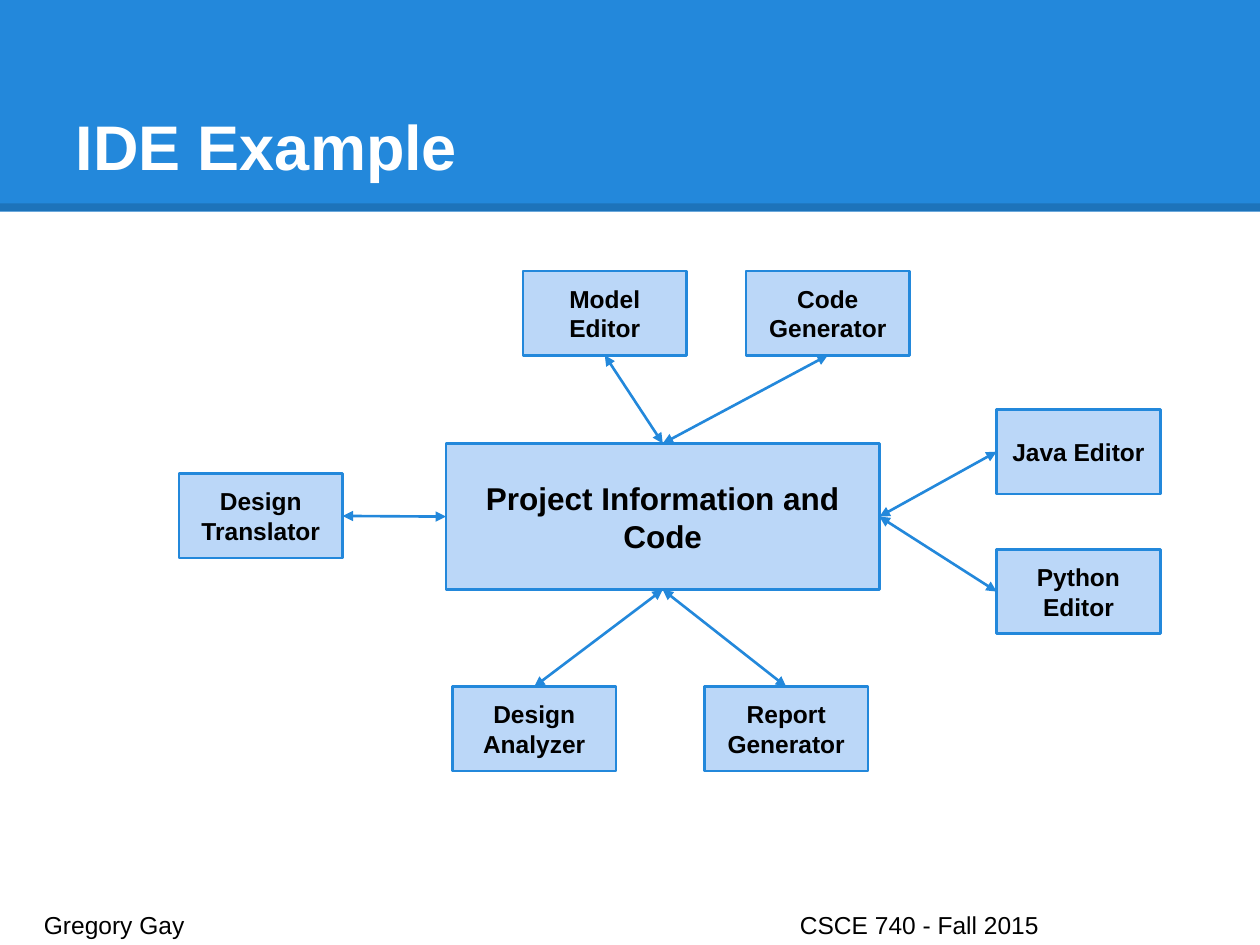
from collections import namedtuple

from lxml.etree import SubElement
from pptx import Presentation
from pptx.dml.color import RGBColor
from pptx.enum.shapes import MSO_CONNECTOR, MSO_SHAPE
from pptx.enum.text import MSO_ANCHOR, MSO_AUTO_SIZE, PP_ALIGN
from pptx.oxml.ns import qn
from pptx.util import Inches, Pt

BLUE = RGBColor(0x23, 0x88, 0xDB)
PALE_BLUE = RGBColor(0xBB, 0xD7, 0xF8)
BLACK = RGBColor(0, 0, 0)
WHITE = RGBColor(0xFF, 0xFF, 0xFF)

SLIDE_WIDTH, SLIDE_HEIGHT = Inches(10), Inches(7.5)
COLUMN, ROW = SLIDE_WIDTH / 100, SLIDE_HEIGHT / 75
TOP, LEFT, BOTTOM, RIGHT = range(4)
OPPOSITE = {TOP: BOTTOM, BOTTOM: TOP, LEFT: RIGHT, RIGHT: LEFT}

Box = namedtuple("Box", "column row columns rows")

HUB = ("Project Information and Code", Box(21.2, 13.7, 34.4, 11.6))
TOOL_COLUMNS, TOOL_ROWS = 13, 6.7
TOOLS = [
    ("Model Editor", 27.3, 0, TOP),
    ("Code Generator", 45, 0, TOP),
    ("Java Editor", 64.9, 11, RIGHT),
    ("Python Editor", 64.9, 22.1, RIGHT),
    ("Report Generator", 41.7, 33, BOTTOM),
    ("Design Analyzer", 21.7, 33, BOTTOM),
    ("Design Translator", 0, 16.1, LEFT),
]


def within(outer, inner):
    """Shift a box by the corner of the box that holds it."""
    return inner._replace(column=outer.column + inner.column, row=outer.row + inner.row)


def to_emu(box):
    """Turn grid columns and rows into slide lengths."""
    return (round(box.column * COLUMN), round(box.row * ROW),
            round(box.columns * COLUMN), round(box.rows * ROW))


def write(frame, text, size=14, color=BLACK, bold=False,
          align=PP_ALIGN.LEFT, anchor=MSO_ANCHOR.TOP):
    """Fill a text frame with one formatted paragraph."""
    frame.word_wrap = True
    frame.auto_size = MSO_AUTO_SIZE.NONE
    frame.vertical_anchor = anchor
    frame.margin_left = frame.margin_right = Inches(0.1)
    frame.margin_top = frame.margin_bottom = Inches(0.1)
    paragraph = frame.paragraphs[0]
    paragraph.alignment = align
    run = paragraph.add_run()
    run.text = text
    run.font.name = "Arial"
    run.font.size = Pt(size)
    run.font.bold = bold
    run.font.color.rgb = color
    return paragraph


def add_block(slide, box, fill):
    """Add a flat rectangle without an outline."""
    block = slide.shapes.add_shape(MSO_SHAPE.RECTANGLE, *to_emu(box))
    block.shadow.inherit = False
    block.fill.solid()
    block.fill.fore_color.rgb = fill
    block.line.fill.background()
    return block


def add_node(slide, box, label, size):
    """Add a labelled, outlined diagram node."""
    node = add_block(slide, box, PALE_BLUE)
    node.line.color.rgb = BLUE
    node.line.width = Pt(1.5)
    write(node.text_frame, label, size=size, bold=True,
          align=PP_ALIGN.CENTER, anchor=MSO_ANCHOR.MIDDLE)
    return node


def add_rule(slide, color, width, ends=(0, 0, 0, 0)):
    """Add a straight connector without a shadow."""
    rule = slide.shapes.add_connector(MSO_CONNECTOR.STRAIGHT, *ends)
    rule.line.color.rgb = color
    rule.line.width = Pt(width)
    SubElement(rule.element.spPr, qn("a:effectLst"))
    return rule


def link(slide, tool, hub, side):
    """Join a tool to one side of the hub with a two-way arrow."""
    arrow = add_rule(slide, BLUE, 1.5)
    arrow.begin_connect(tool, OPPOSITE[side])
    arrow.end_connect(hub, side)
    outline = arrow.element.spPr.find(qn("a:ln"))
    for end in ("a:headEnd", "a:tailEnd"):
        SubElement(outline, qn(end), type="triangle", w="med", len="med")


def build_header(slide, box):
    """Place the title over a band with a translucent lower edge."""
    band = add_block(slide, box, BLUE)
    left, top, width, height = to_emu(box)
    edge_top = top + round(height * 0.98)
    edge = add_rule(slide, BLACK, 4.5, (left, edge_top, left + width, edge_top))
    tint = edge.element.spPr.find(".//" + qn("a:srgbClr"))
    SubElement(tint, qn("a:alpha"), val="15000")
    title = slide.shapes.title
    for backdrop in (band, edge):
        title.element.addprevious(backdrop.element)
    title.left, title.top, title.width, title.height = to_emu(
        within(box, Box(5, 3, 90, 12.5)))
    write(title.text_frame, "IDE Example", size=36, color=WHITE, bold=True,
          anchor=MSO_ANCHOR.BOTTOM)


def build_diagram(slide, box):
    """Place the hub, the tools around it and their arrows."""
    hub_label, hub_box = HUB
    hub = add_node(slide, within(box, hub_box), hub_label, 18)
    tools = [
        (add_node(slide, within(box, Box(column, row, TOOL_COLUMNS, TOOL_ROWS)), label, 14), side)
        for label, column, row, side in TOOLS
    ]
    for tool, side in tools:
        link(slide, tool, hub, side)


def build_footer(slide, box):
    """Place the author and the course on one tabbed line."""
    footer = slide.shapes.add_textbox(*to_emu(box))
    paragraph = write(footer.text_frame, "Gregory Gay\tCSCE 740 - Fall 2015")
    tabs = SubElement(paragraph._p.get_or_add_pPr(), qn("a:tabLst"))
    SubElement(tabs, qn("a:tab"), pos=str(round(60 * COLUMN)), algn="l")


def main():
    """Build and save the slide."""
    presentation = Presentation()
    presentation.slide_width, presentation.slide_height = SLIDE_WIDTH, SLIDE_HEIGHT
    slide = presentation.slides.add_slide(presentation.slide_layouts[5])
    build_header(slide, Box(0, 0, 100, 16.8))
    build_diagram(slide, Box(14.2, 21.5, 77.9, 39.7))
    build_footer(slide, Box(2.5, 71.2, 95.1, 3))
    presentation.save("out.pptx")


if __name__ == "__main__":
    main()
